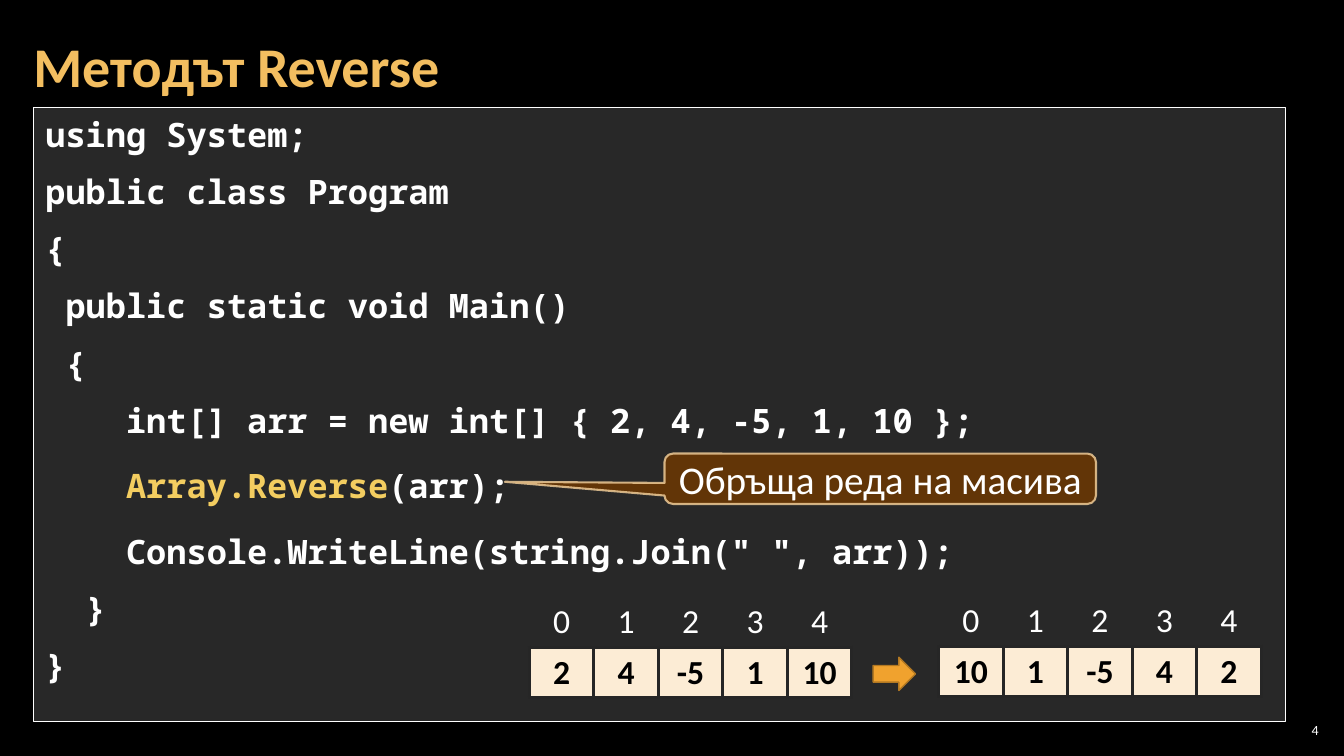
from dataclasses import dataclass

from lxml import etree
from pptx import Presentation
from pptx.dml.color import RGBColor
from pptx.enum.shapes import MSO_SHAPE
from pptx.enum.text import MSO_ANCHOR, PP_ALIGN
from pptx.oxml.ns import qn
from pptx.util import Pt

RECT = MSO_SHAPE.RECTANGLE
CALLOUT = MSO_SHAPE.ROUNDED_RECTANGULAR_CALLOUT
ARROW = MSO_SHAPE.RIGHT_ARROW
TOP, MIDDLE = MSO_ANCHOR.TOP, MSO_ANCHOR.MIDDLE
LEFT, CENTER, RIGHT = PP_ALIGN.LEFT, PP_ALIGN.CENTER, PP_ALIGN.RIGHT

SCALE = 9144
SANS, MONO = "Calibri", "Noto Sans Mono"
WHITE, BLACK, GOLD = "FFFFFF", "000000", "F3CD60"
CREAM, EDGE = "FCECD5", "262626"
PLAIN = "{2D5ABB26-0587-4C30-8999-92F81FD0307C}"
COL, ROW = 64, 50


@dataclass
class Box:
    left: int
    top: int
    width: int
    height: int

    def emu(self) -> tuple:
        return px(self.left), px(self.top), px(self.width), px(self.height)


@dataclass
class Style:
    size: int
    color: str = WHITE
    bold: bool = False
    font: str = SANS
    align: PP_ALIGN = LEFT


@dataclass
class Panel:
    kind: MSO_SHAPE
    box: Box
    fill: str
    line: str
    weight: float
    solid: int = 100
    edge: int = 100


@dataclass
class Line:
    runs: list
    gap: int = 6


@dataclass
class Array:
    left: int
    top: int
    items: list


CODE = [
    Line([("using System;", WHITE)]),
    Line([("public class Program", WHITE)]),
    Line([("{", WHITE)]),
    Line([(" public static void Main()", WHITE)]),
    Line([(" {", WHITE)]),
    Line([("    int[] arr = new int[] { 2, 4, -5, 1, 10 };", WHITE)]),
    Line([("    ", WHITE), ("Array.Reverse", GOLD), ("(arr);", WHITE)], 12),
    Line([('    Console.WriteLine(string.Join(" ", arr));', WHITE)]),
    Line([("  }", WHITE)]),
    Line([("}", WHITE)]),
]
ARRAYS = [
    Array(525, 592, [2, 4, -5, 1, 10]),
    Array(931, 591, [10, 1, -5, 4, 2]),
]


def px(n: int) -> int:
    return n * SCALE


def rgb(color: str) -> RGBColor:
    return RGBColor.from_string(color)


def fade(node, percent: int) -> None:
    if percent < 100:
        color = next(node.iter(qn("a:srgbClr")))
        etree.SubElement(color, qn("a:alpha"), val=str(percent * 1000))


def style(para, look: Style) -> None:
    para.alignment = look.align
    font = para.font
    font.name, font.size, font.bold = look.font, Pt(look.size), look.bold
    font.color.rgb = rgb(look.color)


def frame(shape, side: int, edge: int, anchor: MSO_ANCHOR, wrap: bool = True):
    text = shape.text_frame
    text.margin_left = text.margin_right = px(side)
    text.margin_top = text.margin_bottom = px(edge)
    text.vertical_anchor, text.word_wrap = anchor, wrap
    return text


def write(text, words: str, look: Style) -> None:
    para = text.paragraphs[0]
    para.text = words
    style(para, look)


def draw(slide, panel: Panel):
    shape = slide.shapes.add_shape(panel.kind, *panel.box.emu())
    shape.shadow.inherit = False
    shape.fill.solid()
    shape.fill.fore_color.rgb = rgb(panel.fill)
    fade(shape.element.spPr, panel.solid)
    shape.line.color.rgb = rgb(panel.line)
    shape.line.width = Pt(panel.weight)
    fade(shape.element.spPr.find(qn("a:ln")), panel.edge)
    return shape


def border(cell, sides: str) -> None:
    props = cell._tc.get_or_add_tcPr()
    for spot, side in enumerate(sides):
        line = etree.Element(qn(f"a:ln{side}"), w=str(Pt(2.25)))
        fill = etree.SubElement(line, qn("a:solidFill"))
        etree.SubElement(fill, qn("a:srgbClr"), val=EDGE)
        props.insert(spot, line)


def grid(slide, array: Array) -> None:
    count = len(array.items)
    box = Box(array.left, array.top, COL * count, ROW * 2)
    shape = slide.shapes.add_table(2, count, *box.emu())
    next(shape.element.iter(qn("a:tableStyleId"))).text = PLAIN
    table = shape.table
    table.first_row = table.horz_banding = False
    for col, item in enumerate(array.items):
        head, cell = table.cell(0, col), table.cell(1, col)
        write(head.text_frame, str(col), Style(24, align=CENTER))
        head.fill.background()
        border(head, "B")
        write(cell.text_frame, str(item), Style(24, BLACK, True, align=CENTER))
        cell.fill.solid()
        cell.fill.fore_color.rgb = rgb(CREAM)
        border(cell, "LRTB")


def code(slide) -> None:
    panel = Panel(RECT, Box(33, 107, 1242, 609), "404040", WHITE, 0.75, 64)
    text = frame(draw(slide, panel), 12, 6, TOP)
    for spot, line in enumerate(CODE):
        para = text.add_paragraph() if spot else text.paragraphs[0]
        style(para, Style(24, bold=True, font=MONO))
        para.line_spacing = Pt(28.8)
        para.space_before = Pt(line.gap if spot else 0)
        para.space_after = Pt(line.gap)
        for words, color in line.runs:
            run = para.add_run()
            run.text = words
            if color != WHITE:
                run.font.color.rgb = rgb(color)


def label(slide, box: Box, side: int, words: str, look: Style) -> None:
    shape = slide.shapes.add_textbox(*box.emu())
    write(frame(shape, side, 4, MIDDLE), words, look)


def note(slide) -> None:
    panel = Panel(CALLOUT, Box(659, 450, 428, 50), "663606", "F8D49E", 1.5, 95, 80)
    shape = draw(slide, panel)
    for spot, value in enumerate((-0.87, 0.06, 0.17)):
        shape.adjustments[spot] = value
    text = frame(shape, 10, 5, MIDDLE, False)
    write(text, "Обръща реда на масива", Style(28, align=CENTER))


def main() -> None:
    deck = Presentation()
    deck.slide_width, deck.slide_height = px(1333), px(750)
    slide = deck.slides.add_slide(deck.slide_layouts[6])
    slide.background.fill.solid()
    slide.background.fill.fore_color.rgb = rgb(BLACK)
    code(slide)
    label(slide, Box(21, 4, 1291, 121), 12, "Методът Reverse",
          Style(40, "F3BE60", True))
    note(slide)
    label(slide, Box(1265, 714, 47, 21), 4, "4", Style(10, align=RIGHT))
    for array in ARRAYS:
        grid(slide, array)
    draw(slide, Panel(ARROW, Box(866, 652, 42, 33), "F0A22E", "B27822", 1))
    deck.save("out.pptx")


if __name__ == "__main__":
    main()
